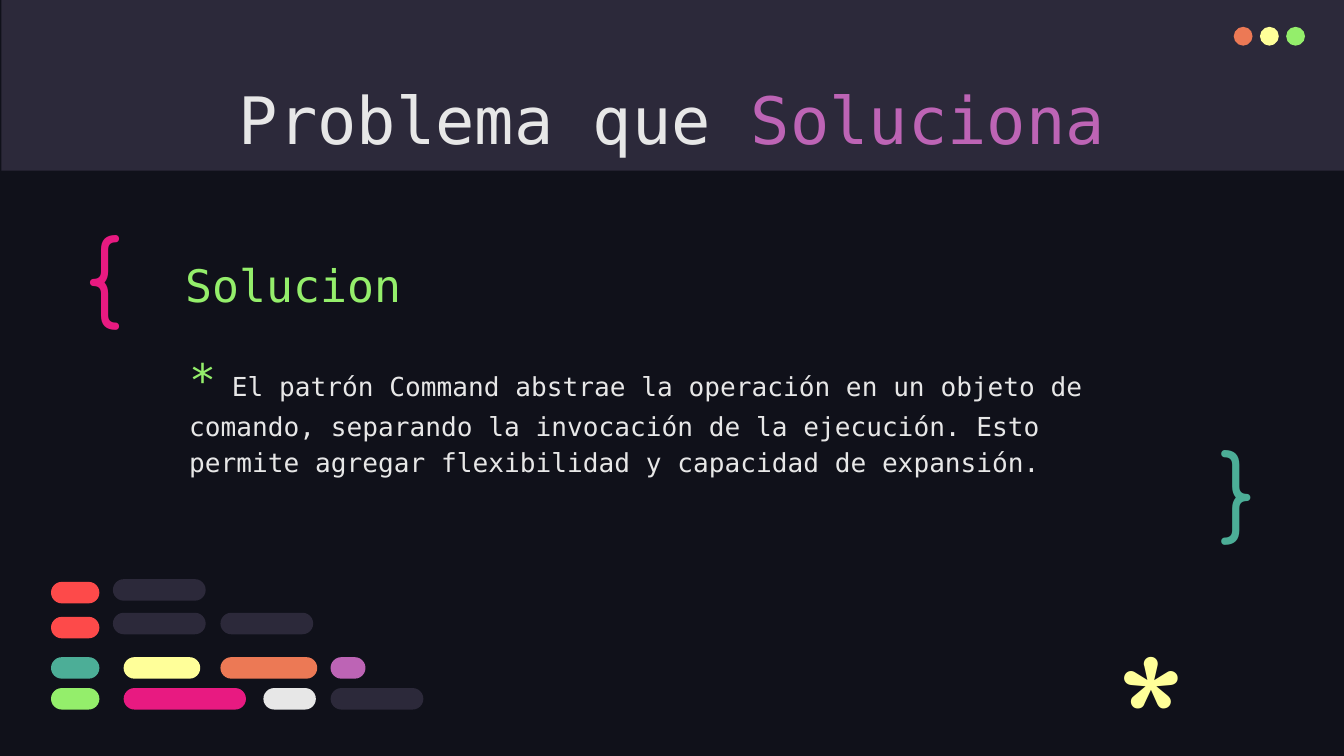
import pptx
import pptx.util
import pptx.dml.color
import pptx.enum.shapes
import pptx.enum.text

COLOURS = {
    "night": "10111A", "slate": "2C293A", "white": "E7E7E7", "orange": "EC7955",
    "yellow": "FFFF99", "green": "94EE6B", "purple": "BD64B5", "pink": "E81A81",
    "teal": "4CAE97", "red": "FD4A4A",
}
CODE_FONT = "DejaVu Sans Mono"
SYMBOL_FONT = "Comfortaa"
CELL = 0.1
SHAPES = pptx.enum.shapes.MSO_SHAPE
ANCHOR = pptx.enum.text.MSO_ANCHOR
ALIGN = pptx.enum.text.PP_ALIGN


def colour(name):
    return pptx.dml.color.RGBColor.from_string(COLOURS[name])


def cells(count):
    return pptx.util.Inches(count * CELL)


def add_span(para, text, size=14, ink="white", font=CODE_FONT):
    span = para.add_run()
    span.text = text
    span.font.size = pptx.util.Pt(size)
    span.font.name = font
    span.font.color.rgb = colour(ink)


class CodeSlide:
    def __init__(self, deck, background):
        self.page = deck.slides.add_slide(deck.slide_layouts[5])
        self.page.background.fill.solid()
        self.page.background.fill.fore_color.rgb = colour(background)

    def shape(self, kind, left, top, width, height, fill):
        shape = self.page.shapes.add_shape(kind, *map(cells, (left, top, width, height)))
        shape.fill.solid()
        shape.fill.fore_color.rgb = colour(fill)
        shape.line.fill.background()
        shape.shadow.inherit = False
        return shape

    def pill(self, left, top, width, fill):
        pill = self.shape(SHAPES.ROUNDED_RECTANGLE, left, top, width, 1.6, fill)
        pill.adjustments[0] = 0.5

    def fill_frame(self, box, spans, anchor, align, spacing):
        frame = box.text_frame
        frame.word_wrap = True
        frame.auto_size = pptx.enum.text.MSO_AUTO_SIZE.NONE
        frame.vertical_anchor = anchor
        frame.margin_left = frame.margin_right = cells(1)
        frame.margin_top = frame.margin_bottom = cells(1)
        para = frame.paragraphs[0]
        para.alignment = align
        para.line_spacing = spacing
        for text, style in spans:
            add_span(para, text, **style)

    def title(self, left, top, width, height, spans):
        box = self.page.shapes.title
        box.left, box.top, box.width, box.height = map(cells, (left, top, width, height))
        self.fill_frame(box, spans, ANCHOR.TOP, ALIGN.CENTER, 1.0)

    def text(self, left, top, width, height, spans, anchor=ANCHOR.TOP, spacing=1.0):
        box = self.page.shapes.add_textbox(*map(cells, (left, top, width, height)))
        self.fill_frame(box, spans, anchor, ALIGN.LEFT, spacing)

    def symbol(self, left, top, width, height, mark, ink, size=50, anchor=ANCHOR.TOP):
        style = dict(size=size, ink=ink, font=SYMBOL_FONT)
        self.text(left, top, width, height, [(mark, style)], anchor)


def main():
    deck = pptx.Presentation()
    deck.slide_width, deck.slide_height = cells(100), cells(56.25)
    slide = CodeSlide(deck, "night")

    header = slide.shape(SHAPES.RECTANGLE, 0.1, 0, 100, 12.7, "slate")
    header.width = deck.slide_width - header.left
    title = slide.page.shapes.title
    header._element.addnext(title._element)
    for index, fill in enumerate(("orange", "yellow", "green")):
        slide.shape(SHAPES.OVAL, 91.8 + 1.95 * index, 2, 1.4, 1.4, fill)

    slide.title(7.9, 4.9, 84.2, 6.3, [
        ("Problema que ", dict(size=35)),
        ("Soluciona", dict(size=35, ink="purple")),
    ])
    accent = dict(size=24, ink="green")
    slide.text(13.1, 24.6, 74.7, 16.2, [
        ("*", accent),
        (" El patrón Command abstrae la operación en un objeto de comando, "
         "separando la invocación de la ejecución. Esto permite agregar "
         "flexibilidad y capacidad de expansión.", {}),
    ], spacing=1.15)
    slide.text(12.8, 18.1, 30.5, 6.1, [("Solucion", accent)], ANCHOR.BOTTOM, 1.15)

    slide.symbol(5.4, 15, 7.7, 9.5, "{", "pink")
    slide.symbol(89.8, 32, 5.7, 8.3, "}", "teal", anchor=ANCHOR.MIDDLE)

    code_lines = [
        (43.1, [(8.4, 6.9, "slate")]),
        (43.3, [(3.8, 3.6, "red")]),
        (45.6, [(8.4, 6.9, "slate"), (16.4, 6.9, "slate")]),
        (45.9, [(3.8, 3.6, "red")]),
        (48.9, [(3.8, 3.6, "teal"), (9.2, 5.7, "yellow"),
                (16.4, 7.2, "orange"), (24.6, 2.6, "purple")]),
        (51.2, [(3.8, 3.6, "green"), (9.2, 9.1, "pink"),
                (19.6, 3.9, "white"), (24.6, 6.9, "slate")]),
    ]
    for top, pills in code_lines:
        for left, width, fill in pills:
            slide.pill(left, top, width, fill)

    slide.symbol(82.1, 45, 5.7, 8.7, "*", "yellow", size=96)
    deck.save("out.pptx")


if __name__ == "__main__":
    main()
